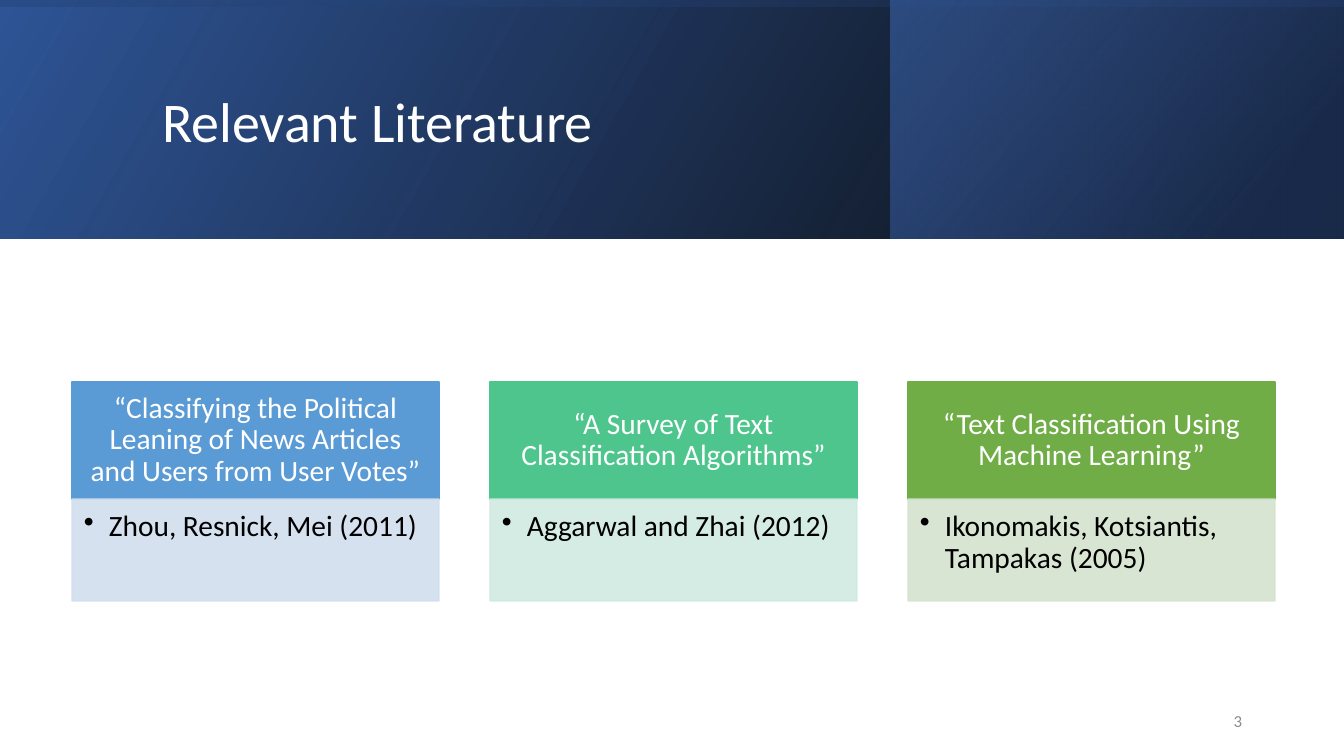
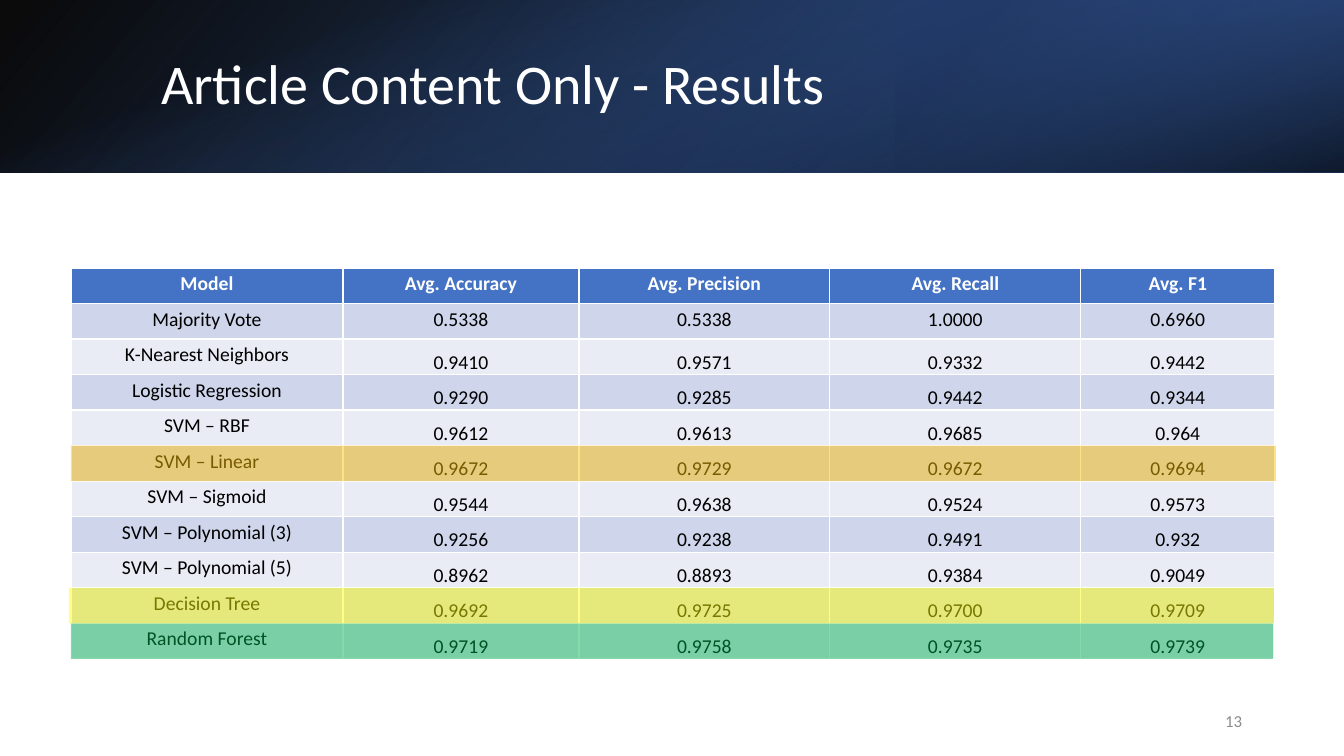
from lxml import etree
from pptx import Presentation
from pptx import util as u
from pptx.dml.color import RGBColor
from pptx.enum import shapes, text
from pptx.oxml import ns

EMU_PER_PX = 914400 / 100.8
PAGE_WIDTH, PAGE_HEIGHT = 1344, 756
FONT = "Calibri"

WHITE = RGBColor(0xFF, 0xFF, 0xFF)
BLACK = RGBColor(0x00, 0x00, 0x00)
GRAY = RGBColor(0x8C, 0x8C, 0x8C)
NAVY = RGBColor(0x20, 0x38, 0x64)
DEEP_BLUE = RGBColor(0x2F, 0x55, 0x97)
BLUE = RGBColor(0x44, 0x72, 0xC4)
SKY = RGBColor(0x5B, 0x9B, 0xD5)
PALE_SKY = RGBColor(0xD2, 0xDE, 0xEF)
MINT = RGBColor(0x4D, 0xC5, 0x8D)
PALE_MINT = RGBColor(0xD0, 0xEA, 0xE1)
LEAF = RGBColor(0x70, 0xAD, 0x47)
PALE_LEAF = RGBColor(0xD5, 0xE3, 0xCF)
ROW_DARK = RGBColor(0xCF, 0xD5, 0xEA)
ROW_LIGHT = RGBColor(0xE9, 0xEB, 0xF5)
GREEN = RGBColor(0x00, 0xB0, 0x50)
YELLOW = RGBColor(0xFF, 0xFF, 0x00)
AMBER = RGBColor(0xFF, 0xC0, 0x00)

TITLE = {"size": u.Pt(40), "color": WHITE}
CARD_HEAD = {"size": u.Pt(21), "color": WHITE}
CARD_BODY = {"size": u.Pt(21), "color": BLACK}
PAGE_NUMBER = {"size": u.Pt(12), "color": GRAY}
TABLE_HEAD = {"size": u.Pt(14), "color": WHITE, "bold": True}
TABLE_BODY = {"size": u.Pt(14), "color": BLACK, "bold": False}

LEFT, CENTER, RIGHT = text.PP_ALIGN.LEFT, text.PP_ALIGN.CENTER, text.PP_ALIGN.RIGHT
TOP, MIDDLE, BOTTOM = (text.MSO_ANCHOR.TOP, text.MSO_ANCHOR.MIDDLE,
                       text.MSO_ANCHOR.BOTTOM)
SIDES = ("left", "top", "right", "bottom")

# Gradient stops: position %, colour, opacity %
BASE_STOPS = [(0, BLACK, 96), (100, DEEP_BLUE, 100)]

CARDS = [
    (SKY, PALE_SKY,
     "“Classifying the Political Leaning of News Articles and Users from User Votes”",
     "Zhou, Resnick, Mei (2011)"),
    (MINT, PALE_MINT, "“A Survey of Text Classification Algorithms”",
     "Aggarwal and Zhai (2012)"),
    (LEAF, PALE_LEAF, "“Text Classification Using Machine Learning”",
     "Ikonomakis, Kotsiantis, Tampakas (2005)"),
]
CARD_LEFT, CARD_PITCH, CARD_WIDTH = 72, 418, 367
CARD_TOP, HEAD_HEIGHT, BODY_HEIGHT = 382, 117, 102

RESULTS = [
    ("Model", "Avg. Accuracy", "Avg. Precision", "Avg. Recall", "Avg. F1"),
    ("Majority Vote", "0.5338", "0.5338", "1.0000", "0.6960"),
    ("K-Nearest Neighbors", "0.9410", "0.9571", "0.9332", "0.9442"),
    ("Logistic Regression", "0.9290", "0.9285", "0.9442", "0.9344"),
    ("SVM – RBF", "0.9612", "0.9613", "0.9685", "0.964"),
    ("SVM – Linear", "0.9672", "0.9729", "0.9672", "0.9694"),
    ("SVM – Sigmoid", "0.9544", "0.9638", "0.9524", "0.9573"),
    ("SVM – Polynomial (3)", "0.9256", "0.9238", "0.9491", "0.932"),
    ("SVM – Polynomial (5)", "0.8962", "0.8893", "0.9384", "0.9049"),
    ("Decision Tree", "0.9692", "0.9725", "0.9700", "0.9709"),
    ("Random Forest", "0.9719", "0.9758", "0.9735", "0.9739"),
]
COLUMN_WIDTHS = [272, 236, 251, 251, 194]
TABLE_LEFT, TABLE_TOP, TABLE_HEIGHT = 71, 268, 391
# Row, left, width, colour
HIGHLIGHTS = [(10, 71, 1202, GREEN), (9, 69, 1205, YELLOW), (5, 71, 1205, AMBER)]


def px(length):
    return u.Emu(round(length * EMU_PER_PX))


def set_margins(target, margins):
    for side, margin in zip(SIDES, margins):
        setattr(target, "margin_" + side, px(margin))


def write(frame, words, style, align=LEFT, spacing=None):
    """Fill a text frame with one formatted paragraph and return it."""
    para = frame.paragraphs[0]
    para.alignment = align
    para.line_spacing = spacing
    span = para.add_run()
    span.text = words
    span.font.name = FONT
    for name, value in style.items():
        if name == "color":
            span.font.color.rgb = value
        else:
            setattr(span.font, name, value)
    return para


def add_bullet(para, indent):
    props = para._p.get_or_add_pPr()
    props.set("marL", str(px(indent)))
    props.set("indent", str(-px(indent)))
    etree.SubElement(props, ns.qn("a:buChar")).set("char", "•")


def add_alpha(color, percent):
    etree.SubElement(color, ns.qn("a:alpha")).set("val", str(percent * 1000))


def add_rectangle(page, area, fill=None, opacity=100, outlined=False):
    box = page.shapes.add_shape(shapes.MSO_SHAPE.RECTANGLE, *map(px, area))
    box.shadow.inherit = False
    if fill is not None:
        box.fill.solid()
        box.fill.fore_color.rgb = fill
    if outlined:
        box.line.color.rgb = fill
        box.line.width = u.Pt(1)
    else:
        box.line.fill.background()
    if opacity < 100:
        for color in box.element.iter(ns.qn("a:srgbClr")):
            add_alpha(color, opacity)
    return box


def add_band(page, left, width, height, stops, angle, rotation=0, flip=True):
    """Add a gradient band at the top edge; a quarter turn keeps its visible area."""
    area = (left, 0, width, height)
    if rotation % 180:
        shift = (width - height) / 2
        area = (left + shift, -shift, height, width)
    band = add_rectangle(page, area)
    band.rotation = rotation
    if flip:
        band.element.spPr.find(ns.qn("a:xfrm")).set("flipH", "1")
    band.fill.gradient()
    gradient = band.element.spPr.find(ns.qn("a:gradFill"))
    for child in list(gradient):
        gradient.remove(child)
    stop_list = etree.SubElement(gradient, ns.qn("a:gsLst"))
    for position, color, opacity in stops:
        stop = etree.SubElement(stop_list, ns.qn("a:gs"))
        stop.set("pos", str(position * 1000))
        tint = etree.SubElement(stop, ns.qn("a:srgbClr"))
        tint.set("val", str(color))
        if opacity < 100:
            add_alpha(tint, opacity)
    direction = etree.SubElement(gradient, ns.qn("a:lin"))
    direction.set("ang", str(angle * 60000))
    direction.set("scaled", "0")


def add_title(page, words, area):
    title = page.shapes.title
    title.left, title.top, title.width, title.height = map(px, area)
    title.text_frame.vertical_anchor = MIDDLE
    write(title.text_frame, words, TITLE, spacing=0.9)
    page.shapes.element.append(title.element)  # in front of the bands


def add_page_number(page, number):
    box = page.shapes.add_textbox(*map(px, (950, 701, 302, 40)))
    box.text_frame.word_wrap = True
    box.text_frame.vertical_anchor = MIDDLE
    write(box.text_frame, str(number), PAGE_NUMBER, RIGHT)


def add_card(page, left, head_color, body_color, heading, authors):
    head = add_rectangle(page, (left, CARD_TOP, CARD_WIDTH, HEAD_HEIGHT),
                         head_color, outlined=True)
    body = add_rectangle(page, (left, CARD_TOP + HEAD_HEIGHT, CARD_WIDTH, BODY_HEIGHT),
                         body_color, opacity=90, outlined=True)
    for box, anchor, margins in ((head, MIDDLE, (16, 9, 16, 9)),
                                 (body, TOP, (12, 12, 16, 18))):
        box.text_frame.word_wrap = True
        box.text_frame.vertical_anchor = anchor
        set_margins(box.text_frame, margins)
    write(head.text_frame, heading, CARD_HEAD, CENTER, 0.9)
    add_bullet(write(body.text_frame, authors, CARD_BODY, LEFT, 0.9), 25)


def add_results_table(page):
    area = (TABLE_LEFT, TABLE_TOP, sum(COLUMN_WIDTHS), TABLE_HEIGHT)
    table = page.shapes.add_table(len(RESULTS), len(COLUMN_WIDTHS), *map(px, area)).table
    for column, width in zip(table.columns, COLUMN_WIDTHS):
        column.width = px(width)
    for row, values in enumerate(RESULTS):
        table.rows[row].height = px(TABLE_HEIGHT / len(RESULTS))
        fill = BLUE if row == 0 else ROW_DARK if row % 2 else ROW_LIGHT
        for column, value in enumerate(values):
            cell = table.cell(row, column)
            cell.fill.solid()
            cell.fill.fore_color.rgb = fill
            is_score = row > 1 and column > 0
            cell.vertical_anchor = BOTTOM if is_score else TOP
            set_margins(cell, (1, 1, 1, 0) if is_score else (8, 4, 8, 4))
            write(cell.text_frame, value, TABLE_BODY if row else TABLE_HEAD, CENTER)


def add_highlights(page):
    height = TABLE_HEIGHT / len(RESULTS)
    for row, left, width, color in HIGHLIGHTS:
        add_rectangle(page, (left, TABLE_TOP + row * height, width, height),
                      color, opacity=47)


def build_literature(page):
    height = 239
    add_band(page, 0, PAGE_WIDTH, height, BASE_STOPS, 330)
    add_band(page, 891, 452, height, [(19, NAVY, 68), (100, BLUE, 48)], 320)
    add_band(page, 0, PAGE_WIDTH, height, [(23, DEEP_BLUE, 16), (99, BLACK, 45)],
             350, rotation=270)
    add_title(page, "Relevant Literature", (152, 38, 1072, 173))
    for index, card in enumerate(CARDS):
        add_card(page, CARD_LEFT + index * CARD_PITCH, *card)
    add_page_number(page, 3)


def build_results(page):
    height = 173
    add_band(page, 0, PAGE_WIDTH, height, BASE_STOPS, 140)
    add_band(page, 896, 448, height, [(19, NAVY, 68), (100, BLUE, 79)], 320,
             rotation=180)
    add_band(page, 0, PAGE_WIDTH, height, [(23, BLUE, 0), (99, BLACK, 74)],
             340, rotation=90, flip=False)
    add_title(page, "Article Content Only - Results", (151, 38, 1107, 97))
    add_results_table(page)
    add_highlights(page)
    add_page_number(page, 13)


def main():
    deck = Presentation()
    deck.slide_width, deck.slide_height = px(PAGE_WIDTH), px(PAGE_HEIGHT)
    title_only = deck.slide_layouts[5]
    for build in (build_literature, build_results):
        build(deck.slides.add_slide(title_only))
    deck.save("out.pptx")


if __name__ == "__main__":
    main()
